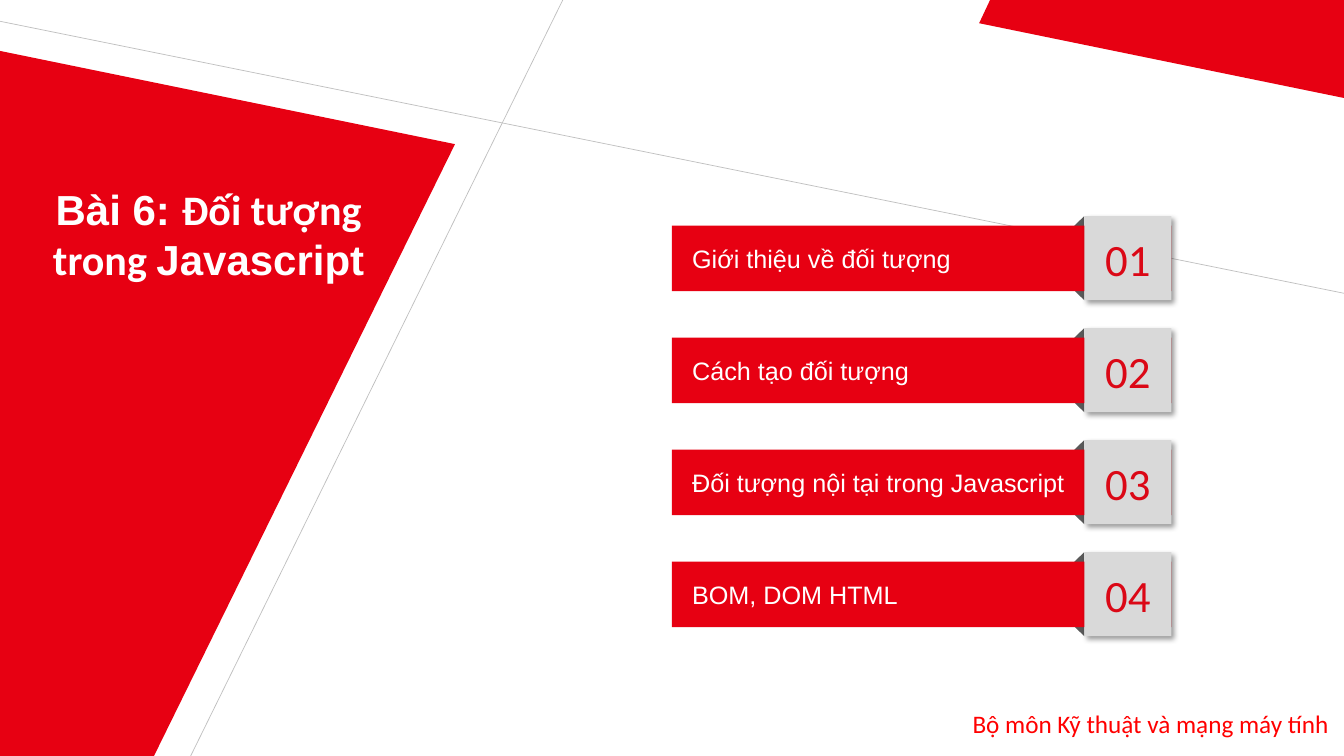
"""Build the lesson agenda slide: title on a red panel and four numbered topic bars."""
from lxml import etree
from pptx import Presentation
from pptx.dml.color import RGBColor
from pptx.enum.shapes import MSO_CONNECTOR, MSO_SHAPE
from pptx.enum.text import MSO_ANCHOR, PP_ALIGN
from pptx.oxml import parse_xml
from pptx.oxml.ns import qn
from pptx.util import Pt

STRAIGHT = MSO_CONNECTOR.STRAIGHT
RECTANGLE = MSO_SHAPE.RECTANGLE
TRIANGLE = MSO_SHAPE.ISOSCELES_TRIANGLE
MIDDLE = MSO_ANCHOR.MIDDLE
LEFT, CENTER = PP_ALIGN.LEFT, PP_ALIGN.CENTER
RED, WHITE, GREY = "E70012", "FFFFFF", "BFBFBF"
TILE_SHADOW = (
    '<a:outerShdw xmlns:a="http://schemas.openxmlformats.org/drawingml/2006/main" '
    'blurRad="50800" dist="38100" dir="2700000" algn="tl" rotWithShape="0">'
    '<a:srgbClr val="000000"><a:alpha val="40000"/></a:srgbClr></a:outerShdw>'
)


def paint(fill, color):
    fill.solid()
    fill.fore_color.rgb = RGBColor.from_string(color)


def write(frame, text, font="Arial", size=18, color=WHITE, bold=False, align=LEFT):
    paragraph = frame.paragraphs[0]
    paragraph.alignment = align
    run = paragraph.add_run()
    run.text = text
    run.font.name = font
    run.font.size = Pt(size)
    run.font.bold = bold
    paint(run.font.fill, color)


deck = Presentation()
deck.slide_width, deck.slide_height = Pt(960), Pt(540)
slide = deck.slides.add_slide(deck.slide_layouts[6])
shapes = slide.shapes
blocks = []
tiles = []

title_panel = [(0, 36.4), (325, 103), (110, 540), (0, 540)]
corner_panel = [(707.2, 0), (960, 0), (960, 70), (699.4, 16.6)]
for corners in (title_panel, corner_panel):
    points = [(Pt(x), Pt(y)) for x, y in corners]
    outline = shapes.build_freeform(*points[0])
    outline.add_line_segments(points[1:], close=True)
    panel = outline.convert_to_shape()
    paint(panel.fill, RED)
    blocks.append(panel)

for ends in ((136.2, 540, 402, 0), (0, 15.2, 960, 209.5)):
    guide = shapes.add_connector(STRAIGHT, *[Pt(end) for end in ends])
    guide.line.width = Pt(0.5)
    paint(guide.line.fill, GREY)
    etree.SubElement(guide._element.spPr, qn("a:effectLst"))

department = shapes.add_textbox(Pt(687.6), Pt(502.6), Pt(272.4), Pt(29)).text_frame
department.word_wrap = False
write(department, "Bộ môn Kỹ thuật và mạng máy tính", font="Calibri", color="FF0000")

title = shapes.add_textbox(Pt(18), Pt(127.4), Pt(262), Pt(80)).text_frame
title.word_wrap = True
for words, font in (("Bài 6: ", "Arial"), ("Đối tượng trong ", "Calibri"), ("Javascript", "Arial")):
    write(title, words, font=font, size=30, bold=True, align=CENTER)

topics = [
    "Giới thiệu về đối tượng",
    "Cách tạo đối tượng",
    "Đối tượng nội tại trong Javascript",
    "BOM, DOM HTML",
]
for index, topic in enumerate(topics):
    top = 154.4 + 80 * index

    for offset, apex, turn in ((47, 0, 180), (0, 1, 0)):
        fold = shapes.add_shape(TRIANGLE, Pt(761), Pt(top + offset), Pt(13.5), Pt(13))
        fold.adjustments[0] = apex
        fold.rotation = turn
        paint(fold.fill, "595959")
        blocks.append(fold)

    bar = shapes.add_shape(RECTANGLE, Pt(480), Pt(top + 6.8), Pt(356.7), Pt(46.8))
    paint(bar.fill, RED)
    label = bar.text_frame
    label.margin_left = Pt(14.4)
    label.vertical_anchor = MIDDLE
    write(label, topic)

    tile = shapes.add_shape(RECTANGLE, Pt(774.6), Pt(top), Pt(62.1), Pt(60))
    paint(tile.fill, "D9D9D9")
    number = tile.text_frame
    number.margin_left = number.margin_right = number.margin_top = number.margin_bottom = 0
    number.vertical_anchor = MIDDLE
    write(number, f"{index + 1:02}", font="Calibri", size=32, color="DB0816", align=CENTER)

    blocks += [bar, tile]
    tiles.append(tile)

for block in blocks:
    block.line.fill.background()
    block.shadow.inherit = False

for tile in tiles:
    tile._element.spPr.find(qn("a:effectLst")).append(parse_xml(TILE_SHADOW))

deck.save("out.pptx")
